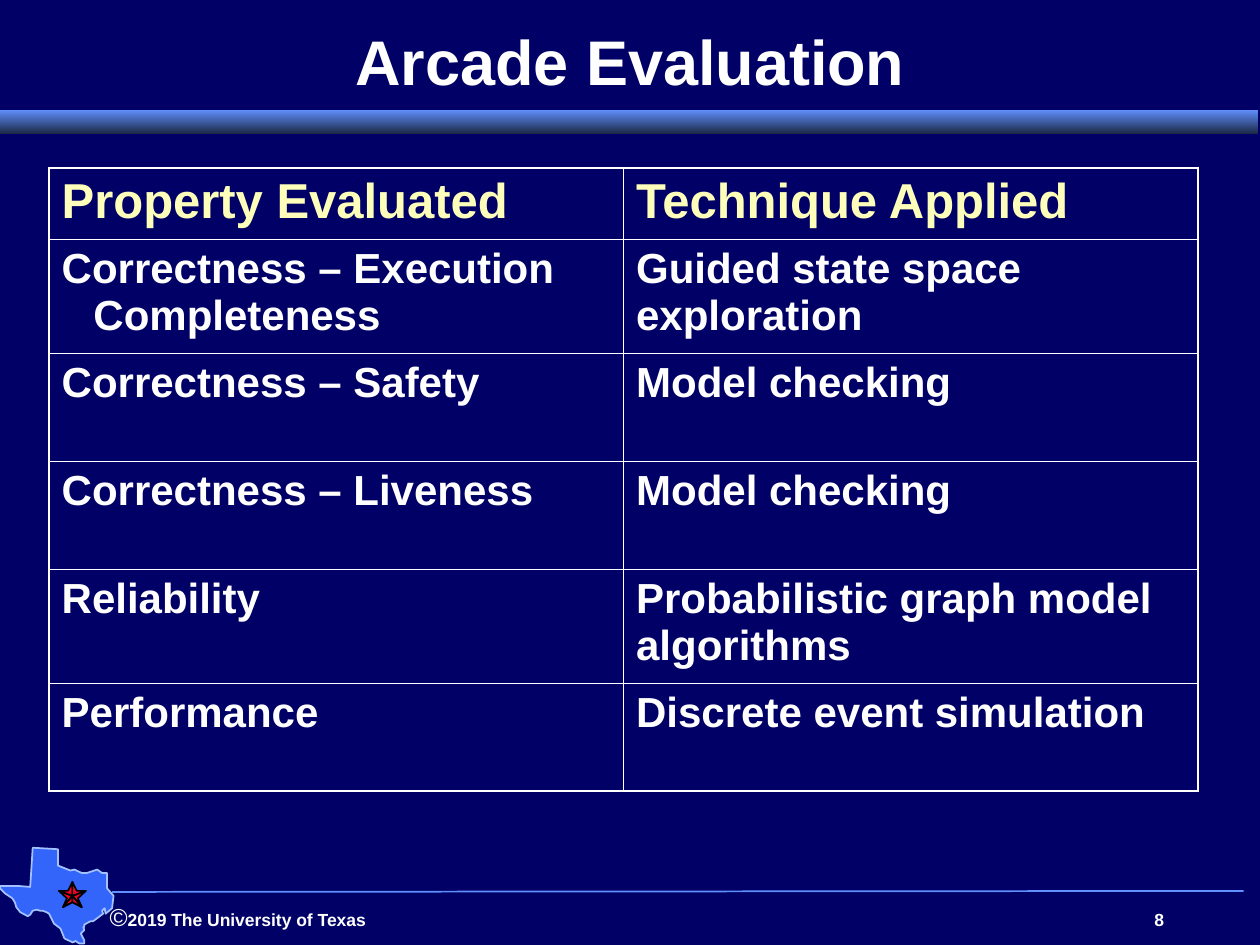
import pptx
import pptx.dml.color
import pptx.enum.shapes
import pptx.enum.text
import pptx.oxml.ns
import pptx.util
from lxml import etree

Cm = pptx.util.Cm
Pt = pptx.util.Pt
Align = pptx.enum.text.PP_ALIGN
Anchor = pptx.enum.text.MSO_ANCHOR

COLORS = {
    "navy": "000066", "white": "FFFFFF", "cream": "FCFEB9",
    "blue": "618FFD", "dusk": "1D2B4B", "state": "3365FB",
    "state_edge": "A2C1FE", "red": "FC0128", "black": "000000",
}

# Outlines in hundredths of a centimetre
STATE = [
    (66, 1709), (117, 1712), (117, 1745), (142, 1755), (150, 1753),
    (165, 1760), (175, 1760), (196, 1753), (206, 1760), (216, 1760),
    (216, 1791), (229, 1806), (226, 1831), (213, 1842), (211, 1831),
    (206, 1836), (208, 1842), (188, 1857), (183, 1857), (170, 1864),
    (170, 1869), (168, 1869), (170, 1875), (163, 1882), (168, 1892),
    (170, 1895), (170, 1902), (160, 1902), (152, 1897), (147, 1900),
    (130, 1892), (122, 1872), (109, 1862), (99, 1842), (94, 1839),
    (86, 1836), (81, 1836), (74, 1834), (66, 1836), (61, 1844),
    (56, 1847), (41, 1839), (33, 1829), (30, 1819), (25, 1811),
    (10, 1801), (0, 1791), (0, 1786), (36, 1786), (61, 1788),
]
STAR_X = 146
LEFT_FACETS = [
    [(119, 1796), (STAR_X, 1806), (127, 1829), (135, 1811)],
    [(119, 1796), (STAR_X, 1806), (STAR_X, 1778), (137, 1796)],
    [(STAR_X, 1806), (127, 1829), (STAR_X, 1819)],
]

ROWS = [
    ("Property Evaluated", "Technique Applied"),
    ("Correctness – Execution Completeness", "Guided state space exploration"),
    ("Correctness – Safety", "Model checking"),
    ("Correctness – Liveness", "Model checking"),
    ("Reliability", "Probabilistic graph model algorithms"),
    ("Performance", "Discrete event simulation"),
]
ROW_HEIGHTS = [1.45, 2.29, 2.18, 2.18, 2.29, 2.18]


def rgb(name):
    return pptx.dml.color.RGBColor.from_string(COLORS[name])


def add_child(parent, tag, **attributes):
    return etree.SubElement(parent, pptx.oxml.ns.qn(tag), attributes)


def write(para, text, size=24, color="white", bold=True):
    """Add one formatted span of text to a paragraph."""
    span = para.add_run()
    span.text = text
    span.font.name = "Arial"
    span.font.size = Pt(size)
    span.font.bold = bold
    span.font.color.rgb = rgb(color)


class Page:
    def __init__(self, deck, background):
        self.slide = deck.slides.add_slide(deck.slide_layouts[6])
        self.shapes = self.slide.shapes
        fill = self.slide.background.fill
        fill.solid()
        fill.fore_color.rgb = rgb(background)

    def box(self, left, top, width, height, anchor=Anchor.TOP):
        frame = self.shapes.add_textbox(
            Cm(left), Cm(top), Cm(width), Cm(height)).text_frame
        frame.word_wrap = True
        frame.vertical_anchor = anchor
        return frame.paragraphs[0]

    def band(self, left, top, width, height, colors):
        shape = self.shapes.add_shape(
            pptx.enum.shapes.MSO_SHAPE.RECTANGLE,
            Cm(left), Cm(top), Cm(width), Cm(height))
        shape.shadow.inherit = False
        shape.line.fill.background()
        shape.fill.gradient()
        shape.fill.gradient_angle = 270
        for position, (stop, color) in enumerate(
                zip(shape.fill.gradient_stops, colors)):
            stop.position = position
            stop.color.rgb = rgb(color)

    def outline(self, points, fill, edge, parent=None):
        builder = (parent or self.shapes).build_freeform(
            *points[0], scale=Cm(0.01))
        builder.add_line_segments(points[1:], close=True)
        shape = builder.convert_to_shape()
        shape.shadow.inherit = False
        shape.fill.solid()
        shape.fill.fore_color.rgb = rgb(fill)
        shape.line.color.rgb = rgb(edge)
        shape.line.width = Pt(1)

    def rule(self, x1, y1, x2, y2, color):
        line = self.shapes.add_connector(
            pptx.enum.shapes.MSO_CONNECTOR.STRAIGHT,
            Cm(x1), Cm(y1), Cm(x2), Cm(y2))
        line.line.color.rgb = rgb(color)
        line.line.width = Pt(1)
        add_child(line._element.spPr, "a:effectLst")

    def borders(self, cell, outer_sides):
        properties = cell._tc.get_or_add_tcPr()
        for side in "LRTB":
            width = Pt(1.08 if side in outer_sides else 0.45)
            line = add_child(properties, "a:ln" + side, w=str(width))
            fill = add_child(line, "a:solidFill")
            add_child(fill, "a:srgbClr", val=COLORS["white"])

    def table(self, left, top, column_width, heights, rows):
        columns = len(rows[0])
        table = self.shapes.add_table(
            len(rows), columns, Cm(left), Cm(top),
            Cm(column_width * columns), Cm(sum(heights))).table
        table.first_row = table.horz_banding = False
        for column in table.columns:
            column.width = Cm(column_width)
        for r, (texts, height) in enumerate(zip(rows, heights)):
            table.rows[r].height = Cm(height)
            for c, text in enumerate(texts):
                cell = table.cell(r, c)
                outer = {"L": c == 0, "R": c == columns - 1,
                         "T": r == 0, "B": r == len(rows) - 1}
                self.borders(cell, [side for side in outer if outer[side]])
                cell.fill.background()
                header = {"size": 28, "color": "cream"} if r == 0 else {}
                write(cell.text_frame.paragraphs[0], text, **header)
        return table


def hang(para, length):
    properties = para._p.get_or_add_pPr()
    properties.set("marL", str(Cm(length)))
    properties.set("indent", str(-Cm(length)))


def main():
    deck = pptx.Presentation()
    deck.slide_width, deck.slide_height = Cm(25.4), Cm(19.05)
    page = Page(deck, "navy")

    # Footer: copyright, then the page number at a tab stop
    footer = page.box(1.96, 18.06, 23.34, 0.84)
    tabs = add_child(footer._p.get_or_add_pPr(), "a:tabLst")
    add_child(tabs, "a:tab", pos=str(Cm(21.06)), algn="l")
    write(footer, "©", size=14, bold=False)
    write(footer, "2019 The University of Texas\t8", size=10)

    # State map with a faceted star, mirrored left to right
    page.outline(STATE, "state", "state_edge")
    star = page.shapes.add_group_shape().shapes
    for facet in LEFT_FACETS:
        mirrored = [(2 * STAR_X - x, y) for x, y in facet]
        for points in (facet, mirrored):
            page.outline(points, "red", "black", parent=star)
    page.rule(2.26, 17.98, 25.07, 17.96, "blue")

    # Title and band
    page.band(0, 2.21, 25.37, 0.48, ["blue", "dusk"])
    title = page.box(0, -0.64, 25.4, 2.77, anchor=Anchor.BOTTOM)
    title.alignment = Align.CENTER
    title.line_spacing = 0.89
    write(title, "Arcade Evaluation", size=36)

    # Evaluation table
    table = page.table(0.99, 3.38, 11.58, ROW_HEIGHTS, ROWS)
    hang(table.cell(1, 0).text_frame.paragraphs[0], 0.64)

    deck.save("out.pptx")


if __name__ == "__main__":
    main()
